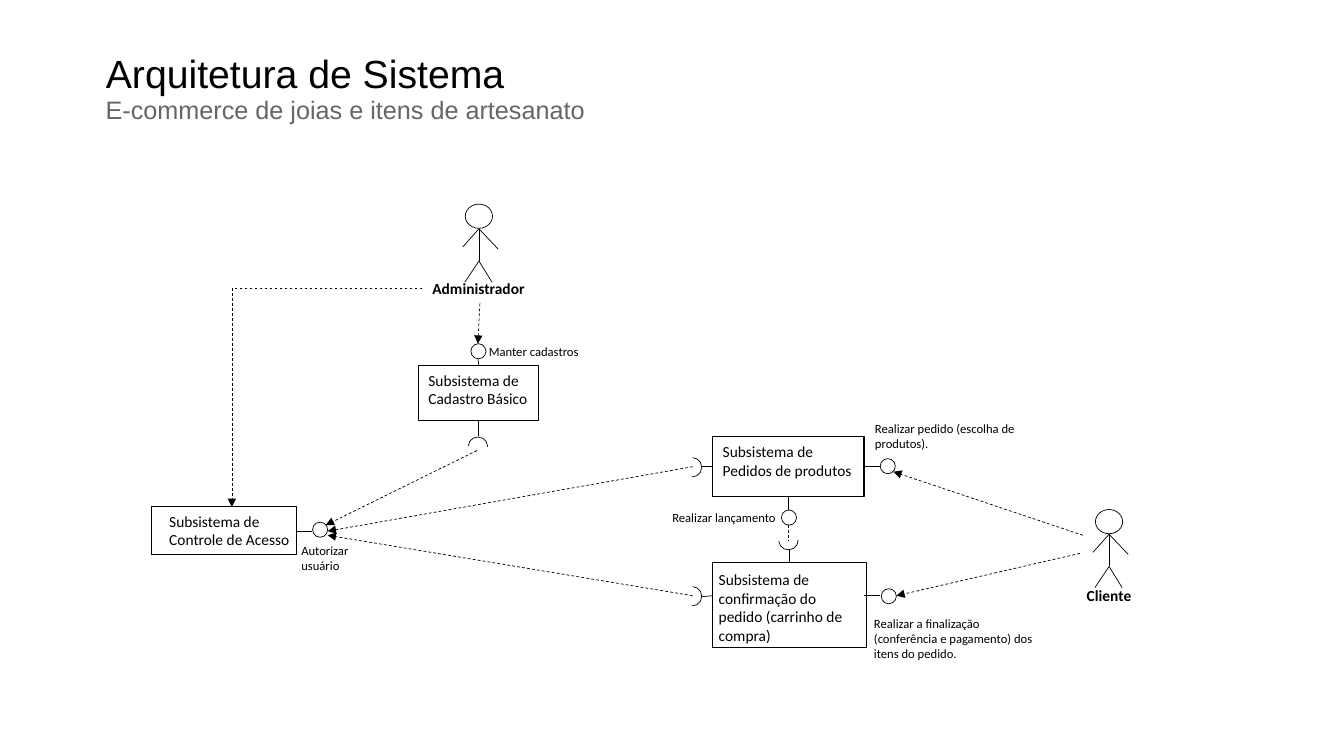
from lxml.etree import SubElement
from pptx import Presentation
from pptx.dml.color import RGBColor
from pptx.enum.dml import MSO_LINE
from pptx.enum.shapes import MSO_CONNECTOR, MSO_SHAPE
from pptx.enum.text import MSO_ANCHOR, MSO_AUTO_SIZE, PP_ALIGN
from pptx.oxml.ns import qn
from pptx.util import Inches, Pt

THEME = {
    "ink": RGBColor(0, 0, 0),
    "muted": RGBColor(0x66, 0x66, 0x66),
    "heading_font": "Arial",
    "body_font": "Calibri",
    "title": Pt(28),
    "subtitle": Pt(18),
    "subsystem": Pt(11),
    "interface": Pt(9),
    "thin": Pt(0.5),
    "border": Pt(0.75),
}
HEADING = {"name": THEME["heading_font"], "size": THEME["title"], "bold": False}
SUBTITLE = {"name": THEME["heading_font"], "size": THEME["subtitle"]}
SUBSYSTEM = {"name": THEME["body_font"], "size": THEME["subsystem"]}
ACTOR = {**SUBSYSTEM, "bold": True}
INTERFACE = {"name": THEME["body_font"], "size": THEME["interface"]}

deck = Presentation()
deck.slide_width, deck.slide_height = Inches(13.33), Inches(7.5)
slide = deck.slides.add_slide(deck.slide_layouts[5])
shapes = slide.shapes


def write(holder, text, font, color=THEME["ink"], wrap=True, top=0.05):
    frame = holder.text_frame
    frame.text = text
    settings = {"word_wrap": wrap, "auto_size": MSO_AUTO_SIZE.NONE,
                "vertical_anchor": MSO_ANCHOR.TOP, "margin_top": Inches(top),
                "margin_bottom": Inches(0.05), "margin_left": Inches(0.1),
                "margin_right": Inches(0.1)}
    for key, value in settings.items():
        setattr(frame, key, value)
    frame.paragraphs[0].alignment = PP_ALIGN.LEFT
    run_font = frame.paragraphs[0].runs[0].font
    for key, value in font.items():
        setattr(run_font, key, value)
    run_font.color.rgb = color


def outline(kind, box, width=THEME["thin"]):
    shape = shapes.add_shape(kind, *map(Inches, box))
    shape.shadow.inherit = False
    shape.fill.background()
    shape.line.color.rgb = THEME["ink"]
    shape.line.width = width
    return shape


# Title and subtitle
title = shapes.title
for side, value in zip(("left", "top", "width", "height"), (0.95, 0.39, 4.59, 0.88)):
    setattr(title, side, Inches(value))
write(title, "Arquitetura de Sistema", HEADING, top=0.1)
subtitle = shapes.add_textbox(*map(Inches, (0.95, 0.87, 5, 0.71)))
write(subtitle, "E-commerce de joias e itens de artesanato", SUBTITLE,
      THEME["muted"], wrap=False, top=0.07)

# Subsystems: frame, then its text area
subsystems = [
    ("Subsistema de Cadastro Básico", (4.15, 3.63, 1.19, 0.54), (4.15, 3.63, 1.19, 0.47)),
    ("Subsistema de Controle de Acesso", (1.5, 5.03, 1.44, 0.47), (1.58, 5.03, 1.44, 0.47)),
    ("Subsistema de Pedidos de produtos", (7.07, 4.33, 1.5, 0.6), (7.07, 4.34, 1.5, 0.47)),
    ("Subsistema de confirmação do pedido (carrinho de compra)",
     (7.07, 5.58, 1.52, 0.84), (7.03, 5.61, 1.52, 0.84)),
]
for name, frame_box, text_box in subsystems:
    outline(MSO_SHAPE.RECTANGLE, frame_box, THEME["border"])
    write(shapes.add_textbox(*map(Inches, text_box)), name, SUBSYSTEM)

# Interface labels
interfaces = [
    ("Manter cadastros", (4.75, 3.36, 1.54, 0.25)),
    ("Autorizar usuário", (2.89, 5.34, 0.87, 0.4)),
    ("Realizar lançamento", (6.57, 5.01, 1.54, 0.25)),
    ("Realizar pedido (escolha de produtos).", (8.58, 4.13, 1.63, 0.4)),
    ("Realizar a finalização (conferência e pagamento) dos itens do pedido.",
     (8.57, 6.06, 1.83, 0.56)),
]
for name, box in interfaces:
    write(shapes.add_textbox(*map(Inches, box)), name, INTERFACE)

# Provided interfaces (balls) and required interfaces (sockets)
for left, top in [(4.67, 3.41), (3.1, 5.18), (8.73, 4.55), (8.74, 5.84), (7.75, 5.06)]:
    outline(MSO_SHAPE.OVAL, (left, top, 0.15, 0.15))
for left, top, turn in [(4.65, 4.33, 270), (6.78, 4.54, 0), (6.78, 5.82, 0), (7.73, 5.27, 86.4)]:
    socket = outline(MSO_SHAPE.ARC, (left, top, 0.18, 0.19))
    socket.adjustments[0], socket.adjustments[1] = 162, 56.487
    socket.rotation = turn

# Stems between subsystems and their interfaces
stems = [
    (4.75, 3.63, 4.74, 3.56), (4.74, 4.17, 4.74, 4.33), (2.94, 5.27, 3.09, 5.27),
    (7.07, 4.63, 6.96, 4.63), (7.07, 5.91, 6.96, 5.92), (8.57, 4.63, 8.73, 4.63),
    (8.57, 5.91, 8.73, 5.91), (7.83, 5.58, 7.83, 5.45), (7.82, 5.06, 7.82, 4.93),
]

# Actors: head and name here, limbs measured from the neck
limbs = [(0, 0, 0, 0.32), (0, 0, 0.19, 0.2), (0, 0, -0.16, 0.18),
         (0, 0.32, -0.14, 0.53), (0, 0.32, 0.13, 0.53)]
actors = [
    ("Administrador", 4.75, 2.27, (4.19, 2.72, 1.13, 0.29)),
    ("Cliente", 11, 5.3, (10.68, 5.77, 0.65, 0.29)),
]
for name, neck_x, neck_y, box in actors:
    outline(MSO_SHAPE.OVAL, (neck_x - 0.135, neck_y - 0.245, 0.27, 0.24))
    write(shapes.add_textbox(*map(Inches, box)), name, ACTOR, wrap=False)
    stems += [(neck_x + x1, neck_y + y1, neck_x + x2, neck_y + y2)
              for x1, y1, x2, y2 in limbs]

# Dependencies run dashed to the interface they use
dependencies = [
    (4.76, 3.01, 4.74, 3.41), (4.73, 4.47, 3.23, 5.21), (6.87, 4.63, 3.25, 5.27),
    (6.87, 5.91, 3.25, 5.31), (10.74, 5.31, 8.86, 4.68), (10.71, 5.49, 8.89, 5.91),
]
access_control = (4.19, 2.86, 2.3, 5.03)
posting = (7.82, 5.21, 7.82, 5.36)

# Draw every link: ends, dashed, arrowhead
links = [(ends, False, False) for ends in stems]
links += [(ends, True, True) for ends in [*dependencies, access_control]]
links.append((posting, True, False))
for ends, dashed, arrow in links:
    bent = ends == access_control
    route = MSO_CONNECTOR.ELBOW if bent else MSO_CONNECTOR.STRAIGHT
    link = shapes.add_connector(route, *map(Inches, ends))
    link.line.color.rgb = THEME["ink"]
    link.line.width = THEME["thin"]
    properties = link._element.spPr
    if bent:
        properties.find(qn("a:prstGeom")).set("prst", "bentConnector2")
    if dashed:
        link.line.dash_style = MSO_LINE.DASH
    if arrow:
        SubElement(properties.find(qn("a:ln")), qn("a:tailEnd"), type="triangle")
    SubElement(properties, qn("a:effectLst"))

deck.save("out.pptx")
